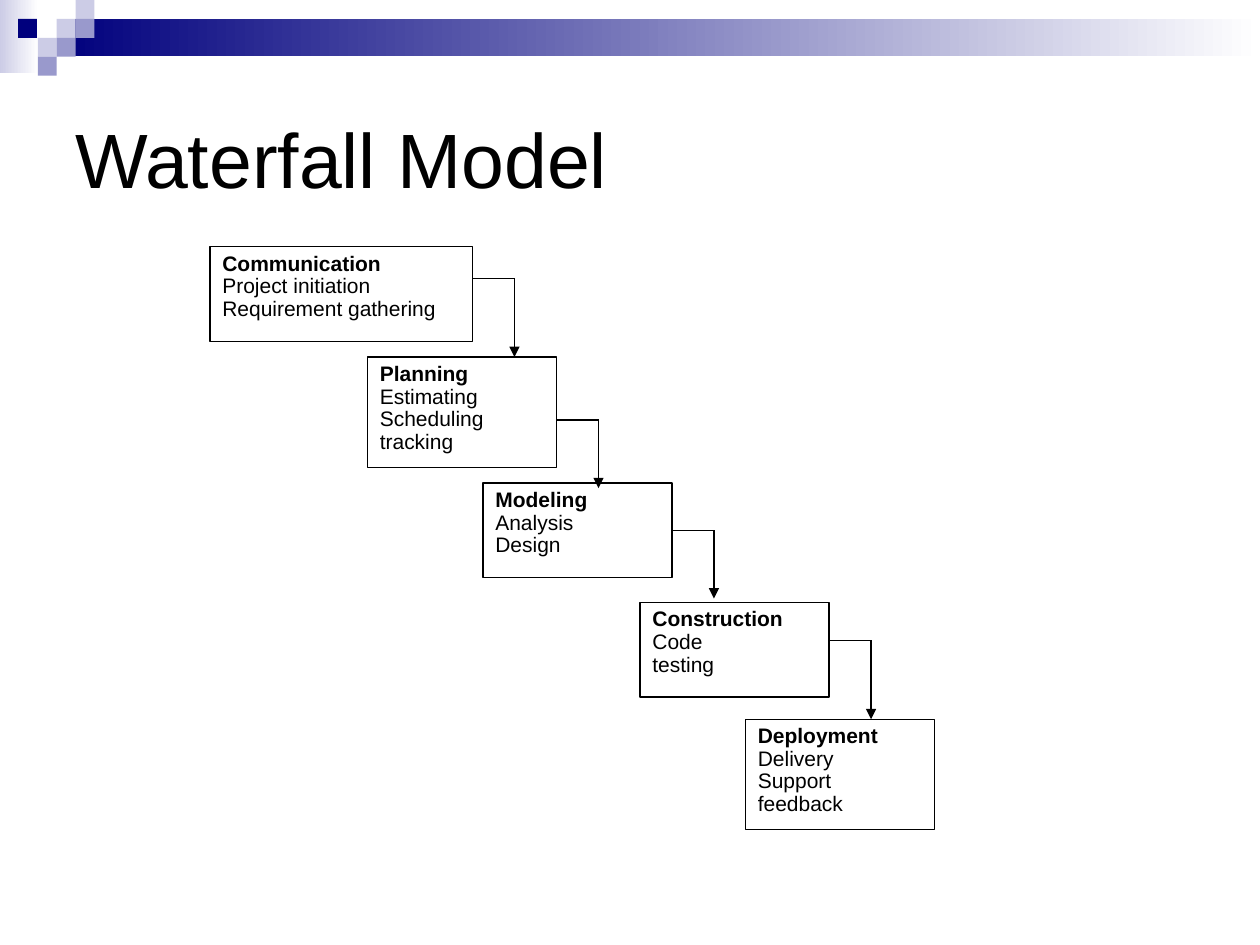
from typing import NamedTuple

from lxml import etree
from pptx import Presentation
from pptx.dml.color import RGBColor
from pptx.enum.shapes import MSO_CONNECTOR as CONN, MSO_SHAPE as SHAPE
from pptx.enum.text import MSO_ANCHOR as ANCHOR, PP_ALIGN as ALIGN
from pptx.oxml.ns import qn
from pptx.util import Pt

BLACK, WHITE, NAVY = "000000", "FFFFFF", "00007D"
PALE, MID = "CCCCE6", "9999CC"
TILE = 10.8
TILE_LEFT = 21.6
ELBOW = 24
RIGHT_SIDE = 3


class Tile(NamedTuple):
    col: int
    row: int
    color: str


class Stage(NamedTuple):
    name: str
    tasks: list[str]
    x: float
    y: float
    w: float
    h: float
    exit_y: float | None = None
    arrow_end: float | None = None


TILES = [
    Tile(1, 1, PALE), Tile(2, 0, PALE), Tile(2, 1, MID),
    Tile(0, 2, PALE), Tile(1, 2, MID), Tile(0, 3, MID),
]

STAGES = [
    Stage("Communication", ["Project initiation", "Requirement gathering"],
          120, 141, 150, 54, 159, 204),
    Stage("Planning", ["Estimating", "Scheduling", "tracking"],
          210, 204, 108, 63, 240, 279),
    Stage("Modeling", ["Analysis", "Design"], 276, 276, 108, 54, 303, 342),
    Stage("Construction", ["Code", "testing"],
          365.75, 344.25, 108, 54, 366, 411),
    Stage("Deployment", ["Delivery", "Support", "feedback"],
          426, 411, 108, 63),
]


def rgb(color: str) -> RGBColor:
    return RGBColor.from_string(color)


def set_attrs(obj, values: dict) -> None:
    for name, value in values.items():
        setattr(obj, name, value)


def add_rect(s, x: float, y: float, w: float, h: float, color: str):
    sp = s.shapes.add_shape(SHAPE.RECTANGLE, Pt(x), Pt(y), Pt(w), Pt(h))
    sp.shadow.inherit = False
    sp.fill.solid()
    sp.fill.fore_color.rgb = rgb(color)
    sp.line.fill.background()
    return sp


def add_fade(s, x: float, y: float, w: float, h: float, color: str) -> None:
    sp = add_rect(s, x, y, w, h, color)
    sp.fill.gradient()
    sp.fill.gradient_angle = 180
    for stop, c in zip(sp.fill.gradient_stops, (WHITE, color)):
        stop.color.rgb = rgb(c)


def write_line(p, text: str, size: float, bold: bool = False) -> None:
    r = p.add_run()
    r.text = text
    set_attrs(r.font, {"name": "Arial", "size": Pt(size), "bold": bold})
    r.font.color.rgb = rgb(BLACK)


def add_stage(s, stage: Stage):
    sp = add_rect(s, stage.x, stage.y, stage.w, stage.h, WHITE)
    sp.line.color.rgb = rgb(BLACK)
    sp.line.width = Pt(0.75)
    tf = sp.text_frame
    set_attrs(tf, {"word_wrap": True, "vertical_anchor": ANCHOR.TOP})
    for i, text in enumerate([stage.name, *stage.tasks]):
        p = tf.add_paragraph() if i else tf.paragraphs[0]
        set_attrs(p, {"alignment": ALIGN.LEFT, "line_spacing": 0.9})
        write_line(p, text, 12, bold=i == 0)
    return sp


def add_line(s, x1: float, y1: float, x2: float, y2: float,
             arrow: bool = False):
    line = s.shapes.add_connector(CONN.STRAIGHT, Pt(x1), Pt(y1), Pt(x2), Pt(y2))
    line.line.color.rgb = rgb(BLACK)
    line.line.width = Pt(0.75)
    if arrow:
        etree.SubElement(line.line._get_or_add_ln(), qn("a:tailEnd"),
                         type="triangle")
    etree.SubElement(line._element.spPr, qn("a:effectLst"))
    return line


def add_step(s, stage: Stage, box) -> None:
    right = stage.x + stage.w
    turn = right + ELBOW
    line = add_line(s, right, stage.exit_y, turn, stage.exit_y)
    if stage.exit_y == stage.y + stage.h / 2:
        line.begin_connect(box, RIGHT_SIDE)
    add_line(s, turn, stage.exit_y, turn, stage.arrow_end, arrow=True)


def main() -> None:
    prs = Presentation()
    set_attrs(prs, {"slide_width": Pt(720), "slide_height": Pt(540)})
    s = prs.slides.add_slide(prs.slide_layouts[6])

    # Header band and tiles
    add_fade(s, 0, 0, 22, 42, PALE)
    add_fade(s, 32.4, 10.8, 687.6, 21.4, NAVY)
    for tile in TILES:
        add_rect(s, TILE_LEFT + tile.col * TILE, tile.row * TILE,
                 TILE, TILE, tile.color)
    add_rect(s, 10.3, TILE, TILE, TILE, NAVY)

    # Title
    tf = s.shapes.add_textbox(Pt(36), Pt(36), Pt(648), Pt(108)).text_frame
    set_attrs(tf, {"word_wrap": True, "vertical_anchor": ANCHOR.MIDDLE})
    write_line(tf.paragraphs[0], "Waterfall Model", 44)

    # Stages, then the steps between them
    boxes = [add_stage(s, stage) for stage in STAGES]
    for stage, box in zip(STAGES[:-1], boxes):
        add_step(s, stage, box)

    prs.save("out.pptx")


if __name__ == "__main__":
    main()
